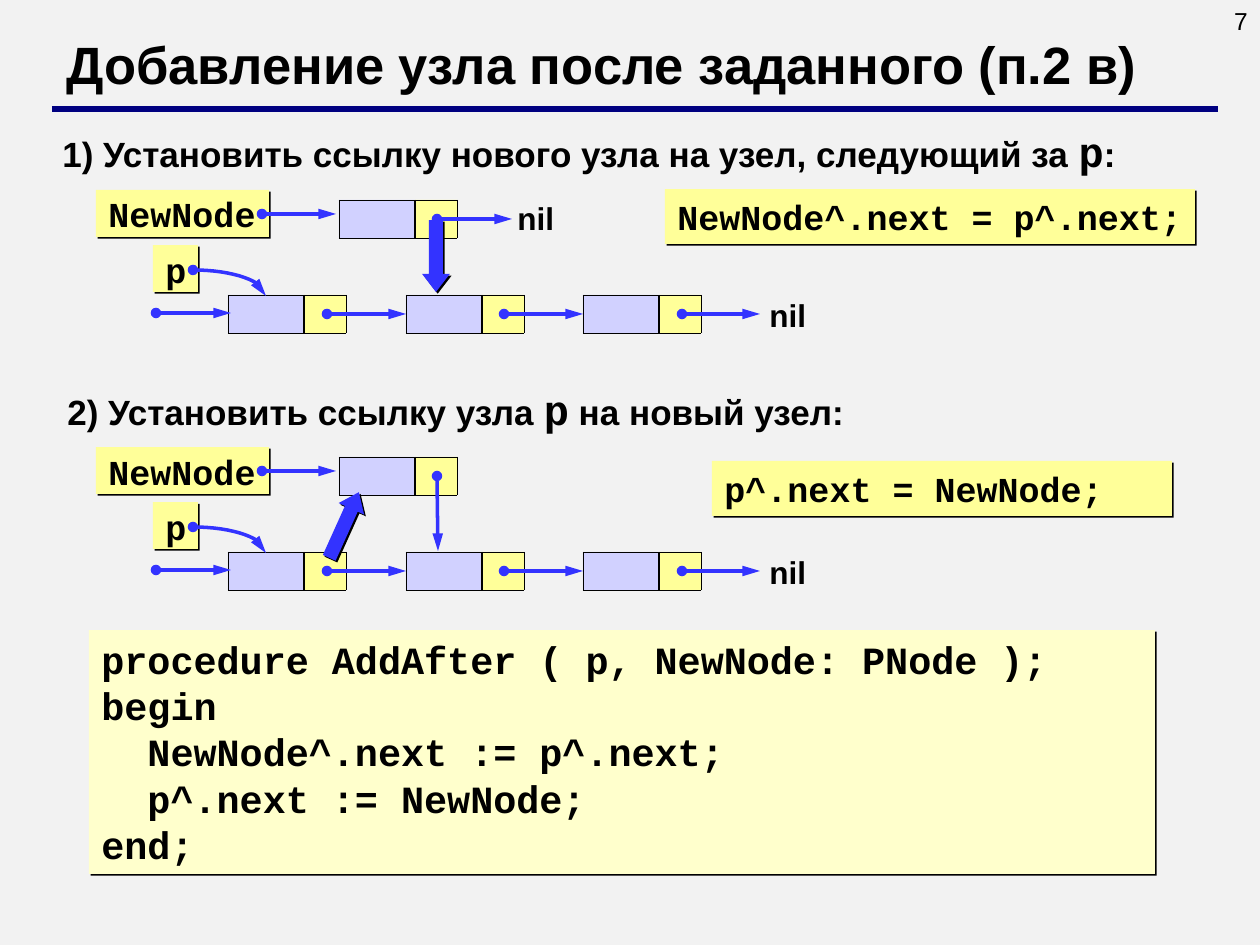
"""Build a slide on inserting a list node after a given node."""
from dataclasses import dataclass
from math import cos, pi, sin

from lxml import etree
from pptx import Presentation
from pptx import util as u
from pptx.dml.color import RGBColor
from pptx.enum import shapes, text
from pptx.oxml.ns import qn


@dataclass(frozen=True)
class Theme:
    background: str = "F2F2F2"
    ink: str = "000000"
    rule: str = "000080"
    pointer: str = "3333FF"
    label: str = "FFFF99"
    data: str = "D1D1FF"
    code: str = "FFFFCC"
    sans: str = "Arial"
    mono: str = "Courier New"
    title: int = 30
    variable: int = 24
    listing: int = 22
    body: int = 20
    nil: int = 18
    number: int = 14


theme = Theme()
PX = 914400 / 126
RECTANGLE = shapes.MSO_SHAPE.RECTANGLE
DOWN_ARROW = shapes.MSO_SHAPE.DOWN_ARROW

presentation = Presentation()
presentation.slide_width = u.Inches(10)
presentation.slide_height = u.Inches(7.5)
slide = presentation.slides.add_slide(presentation.slide_layouts[6])
slide.background.fill.solid()
slide.background.fill.fore_color.rgb = RGBColor.from_string(theme.background)


def add_box(area, lines=(), fill=None, kind=RECTANGLE, shadow=False, wrap=True, inset=6, align=text.PP_ALIGN.LEFT):
    place = [round(value * PX) for value in area]
    if fill:
        shape = slide.shapes.add_shape(kind, *place)
        shape.shadow.inherit = False
        shape.fill.solid()
        shape.fill.fore_color.rgb = RGBColor.from_string(fill)
        shape.line.fill.background()
    else:
        shape = slide.shapes.add_textbox(*place)
    if shadow:
        effects = shape._element.spPr.find(qn("a:effectLst"))
        outer = etree.SubElement(effects, qn("a:outerShdw"), dist="17961", dir="2700000", algn="ctr", rotWithShape="0")
        etree.SubElement(outer, qn("a:srgbClr"), val=theme.ink)
    if not lines:
        return shape
    frame = shape.text_frame
    frame.word_wrap = wrap
    frame.auto_size = text.MSO_AUTO_SIZE.SHAPE_TO_FIT_TEXT
    frame.vertical_anchor = text.MSO_ANCHOR.TOP
    frame.margin_left = frame.margin_right = u.Inches(0.1)
    frame.margin_top = frame.margin_bottom = round(inset * PX)
    for index, runs in enumerate(lines):
        paragraph = frame.paragraphs[0] if index == 0 else frame.add_paragraph()
        paragraph.alignment = align
        paragraph.line_spacing = u.Pt(1.2 * max(size for _, _, size in runs))
        for words, font, size in runs:
            run = paragraph.add_run()
            run.text = words
            run.font.name = font
            run.font.size = u.Pt(size)
            run.font.bold = size != theme.number
            run.font.color.rgb = RGBColor.from_string(theme.ink)
    return shape


def add_line(points, color=theme.pointer, width=2, arrow=True):
    ends = [(round(x * PX), round(y * PX)) for x, y in points]
    if len(ends) == 2:
        shape = slide.shapes.add_connector(shapes.MSO_CONNECTOR.STRAIGHT, *ends[0], *ends[1])
        etree.SubElement(shape._element.spPr, qn("a:effectLst"))
    else:
        builder = slide.shapes.build_freeform(*ends[0])
        builder.add_line_segments(ends[1:], close=False)
        shape = builder.convert_to_shape()
        shape.shadow.inherit = False
        shape.fill.background()
    shape.line.color.rgb = RGBColor.from_string(color)
    shape.line.width = u.Pt(width)
    if arrow:
        outline = shape.line._get_or_add_ln()
        etree.SubElement(outline, qn("a:headEnd"), type="oval")
        etree.SubElement(outline, qn("a:tailEnd"), type="triangle", w="med", len="lg")
    return shape


add_box((966, 0, 294, 66), [[("7", theme.sans, theme.number)]], align=text.PP_ALIGN.RIGHT)
add_line([(52, 109), (1218, 109)], theme.rule, 3, arrow=False)
add_box((54, 26, 1121, 76), [[("Добавление узла после заданного (п.2 в)", theme.sans, theme.title)]])

STEP_GAP = 257
CELL_HEIGHT, DATA_WIDTH, LINK_WIDTH = 38, 76, 42
NODE_WIDTH = DATA_WIDTH + LINK_WIDTH
steps = [
    ((50, 120), "1) Установить ссылку нового узла на узел, следующий за ", ":",
     (665, 189, 530, 55), "NewNode^.next = p^.next;"),
    ((55, 378), "2) Установить ссылку узла ", " на новый узел:",
     (712, 461, 460, 55), "p^.next = NewNode;"),
]
for step, (corner, before, after, code_area, code) in enumerate(steps):
    shift = step * STEP_GAP
    add_box((*corner, 1183, 63), [[
        (before, theme.sans, theme.body),
        ("p", theme.mono, theme.variable),
        (after, theme.sans, theme.body),
    ]])
    add_box(code_area, [[(code, theme.mono, theme.body)]], theme.label, shadow=True, wrap=step == 1)

    for name, left, top, width in (("NewNode", 96, 190, 173), ("p", 153, 245, 45)):
        add_box((left, top + shift, width, 47), [[(name, theme.mono, theme.body)]],
                theme.label, shadow=True, wrap=False, inset=3)

    cells = []
    for left, row in ((339, 200), (228, 295), (406, 295), (583, 295)):
        top = row + shift
        bottom = top + CELL_HEIGHT
        add_box((left + DATA_WIDTH, top, LINK_WIDTH, CELL_HEIGHT), fill=theme.label)
        cells.append(add_box((left, top, DATA_WIDTH, CELL_HEIGHT), fill=theme.data))
        for y in (top, bottom):
            add_line([(left, y), (left + NODE_WIDTH, y)], theme.ink, 0.5, arrow=False)
        for offset, width in ((0, 0.5), (DATA_WIDTH, 1), (NODE_WIDTH, 0.5)):
            add_line([(left + offset, top), (left + offset, bottom)], theme.ink, width, arrow=False)

    middle = 314 + shift
    for start, target in ((327, cells[2]), (504, cells[3]), (682, None)):
        link = add_line([(start, middle), (start + 78, middle)])
        if target:
            link.end_connect(target, 1)
    add_line([(262, 214 + shift), (336, 214 + shift)])
    add_line([(156, 313 + shift), (231, 313 + shift)])
    angles = [pi / 2 * part / 16 for part in range(17)]
    add_line([(193 + 73 * sin(angle), 296 + shift - 26 * cos(angle)) for angle in angles])

    nil_places = [(757, 290 + shift)]
    if step == 0:
        bold_arrow = add_box((422, 220, 28, 72), fill=theme.pointer, kind=DOWN_ARROW, shadow=True)
        add_line([(437, 219), (512, 219)])
        nil_places.append((505, 193))
    else:
        add_line([(437, 476), (438, 551)])
        bold_arrow = add_box((330, 489, 28, 72), fill=theme.pointer, kind=DOWN_ARROW, shadow=True)
        bold_arrow.rotation = 204.3
    bold_arrow.adjustments[0] = 0.5
    bold_arrow.adjustments[1] = 0.65
    for place in nil_places:
        add_box((*place, 62, 50), [[("nil", theme.sans, theme.nil)]], wrap=False)

procedure = [
    "procedure AddAfter ( p, NewNode: PNode );",
    "begin",
    "  NewNode^.next := p^.next;",
    "  p^.next := NewNode;",
    "end;",
]
add_box((89, 630, 1066, 244), [[(line, theme.mono, theme.listing)] for line in procedure], theme.code, shadow=True)

presentation.save("out.pptx")
